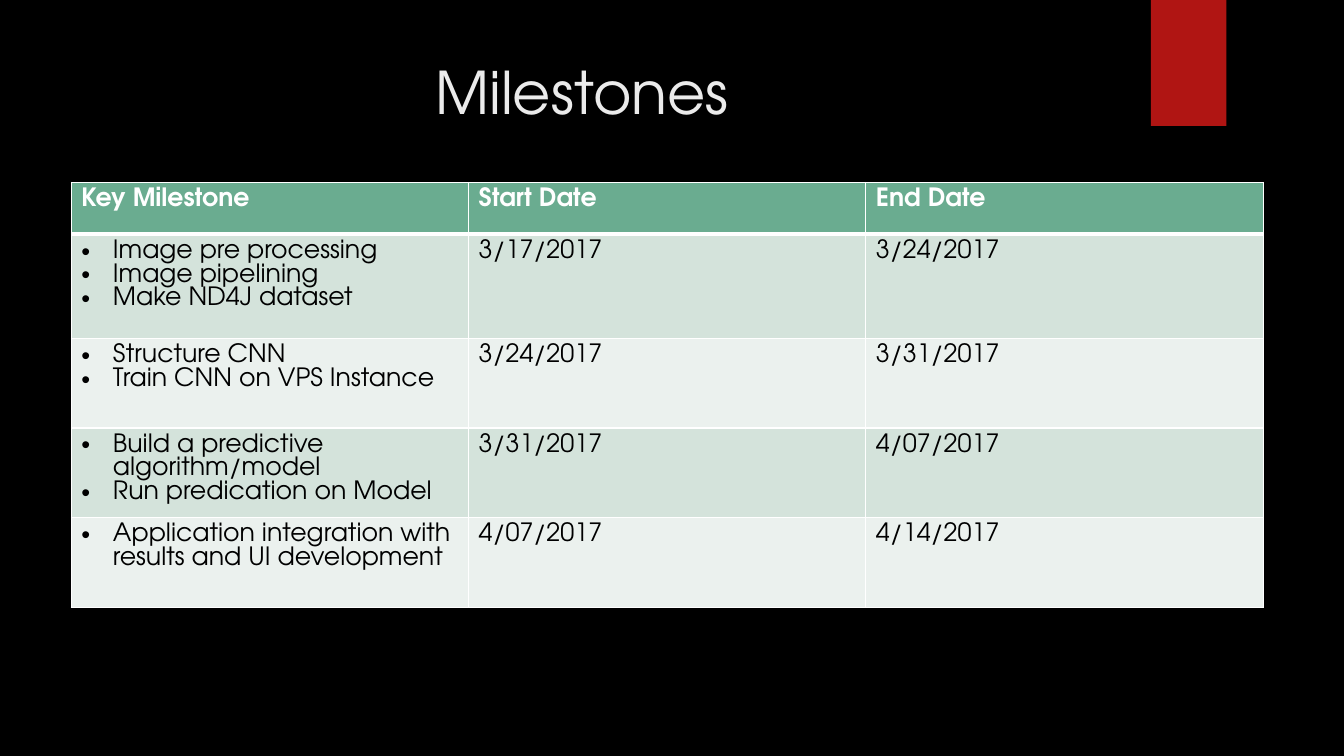
from dataclasses import dataclass

from lxml import etree
from pptx import Presentation
from pptx import util as u
from pptx.dml.color import RGBColor
from pptx.enum import shapes, text
from pptx.oxml import ns


@dataclass(frozen=True)
class Theme:
    font: str = "TeX Gyre Adventor"
    background: str = "000000"
    accent: str = "B01513"
    title: str = "EBEBEB"
    header: str = "6AAC90"
    bands: tuple = ("D4E3DB", "EBF1EE")
    light: str = "FFFFFF"
    dark: str = "000000"
    title_size: int = 42
    body_size: int = 18
    body_line: int = 17
    indent: float = 22.5
    rule: int = 1
    header_rule: int = 3


def rgb(value):
    return RGBColor.from_string(value)


def add_text(tf, content, *, font, size, color, bold=False, align=None,
             line=None, indent=None):
    for i, entry in enumerate(content.split("\n")):
        p = tf.paragraphs[0] if i == 0 else tf.add_paragraph()
        p.alignment = align
        if line:
            p.line_spacing = u.Pt(line)
        if indent:
            ppr = p._p.get_or_add_pPr()
            ppr.set("marL", str(u.Pt(indent)))
            ppr.set("indent", str(-u.Pt(indent)))
            etree.SubElement(ppr, ns.qn("a:buFont"), typeface="Arial")
            etree.SubElement(ppr, ns.qn("a:buChar"), char="•")
        r = p.add_run()
        r.text = entry
        r.font.name = font
        r.font.size = u.Pt(size)
        r.font.bold = bold
        r.font.color.rgb = rgb(color)


class Deck:
    def __init__(self, prs, theme):
        self.theme = theme
        self.slide = prs.slides.add_slide(prs.slide_layouts[6])
        fill = self.slide.background.fill
        fill.solid()
        fill.fore_color.rgb = rgb(theme.background)

    def block(self, x, y, w, h, color):
        sp = self.slide.shapes.add_shape(
            shapes.MSO_SHAPE.RECTANGLE, u.Pt(x), u.Pt(y), u.Pt(w), u.Pt(h))
        sp.shadow.inherit = False
        sp.fill.solid()
        sp.fill.fore_color.rgb = rgb(color)
        sp.line.fill.background()

    def title(self, x, y, w, h, content):
        sp = self.slide.shapes.add_textbox(u.Pt(x), u.Pt(y), u.Pt(w), u.Pt(h))
        tf = sp.text_frame
        tf.word_wrap = True
        tf.vertical_anchor = text.MSO_ANCHOR.TOP
        add_text(tf, content, font=self.theme.font, size=self.theme.title_size,
                 color=self.theme.title, align=text.PP_ALIGN.CENTER)

    def border(self, cell, side, width):
        ln = etree.SubElement(cell._tc.get_or_add_tcPr(), ns.qn(f"a:ln{side}"),
                              w=str(u.Pt(width)))
        fill = etree.SubElement(ln, ns.qn("a:solidFill"))
        etree.SubElement(fill, ns.qn("a:srgbClr"), val=self.theme.light)

    def cell(self, cell, row, col, content):
        t = self.theme
        header = row == 0
        thick = {(0, "B"), (1, "T")}
        for side in "LRTB":
            self.border(cell, side, t.header_rule if (row, side) in thick else t.rule)
        cell.fill.solid()
        cell.fill.fore_color.rgb = rgb(t.header if header else t.bands[(row - 1) % 2])
        add_text(cell.text_frame, content, font=t.font, size=t.body_size,
                 color=t.light if header else t.dark, bold=header,
                 line=t.body_line,
                 indent=t.indent if col == 0 and not header else None)

    def table(self, x, y, w, heights, rows):
        cols = len(rows[0])
        tbl = self.slide.shapes.add_table(
            len(rows), cols, u.Pt(x), u.Pt(y), u.Pt(w), u.Pt(sum(heights))).table
        tbl.horz_banding = False
        tbl.first_row = False
        for column in tbl.columns:
            column.width = u.Pt(w / cols)
        for i, (height, values) in enumerate(zip(heights, rows)):
            tbl.rows[i].height = u.Pt(height)
            for j, value in enumerate(values):
                self.cell(tbl.cell(i, j), i, j, value)


MILESTONES = [
    ("Key Milestone", "Start Date", "End Date"),
    ("Image pre processing\nImage pipelining\nMake ND4J dataset",
     "3/17/2017", "3/24/2017"),
    ("Structure CNN\nTrain CNN on VPS Instance",
     "3/24/2017", "3/31/2017"),
    ("Build a predictive algorithm/model\nRun predication on Model",
     "3/31/2017", "4/07/2017"),
    ("Application integration with results and UI development",
     "4/07/2017", "4/14/2017"),
]


def main():
    prs = Presentation()
    prs.slide_width = u.Pt(960)
    prs.slide_height = u.Pt(540)
    deck = Deck(prs, Theme())
    deck.block(822, 0, 54, 90, deck.theme.accent)
    deck.title(51, 36, 741, 110, "Milestones ")
    deck.table(51, 130.3, 851.3, [37, 74.5, 64, 64, 64], MILESTONES)
    prs.save("out.pptx")


if __name__ == "__main__":
    main()
